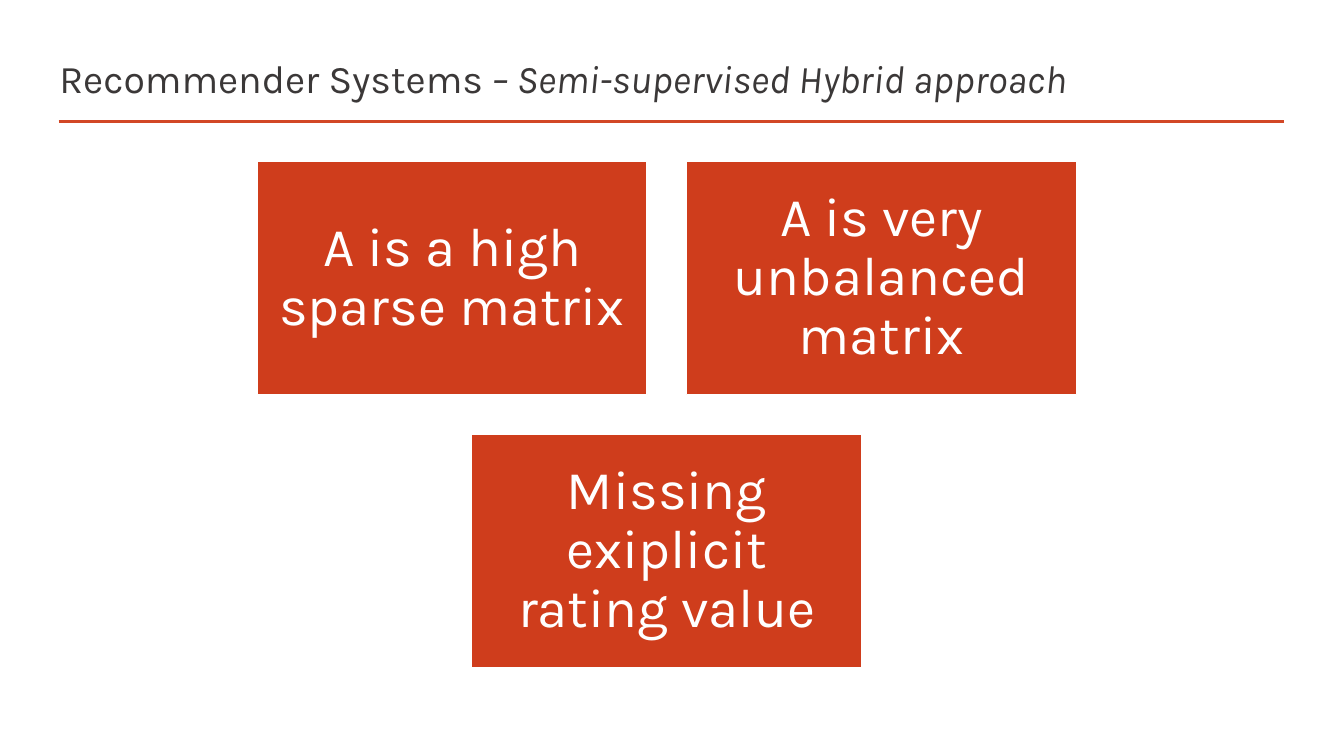
from lxml import etree
from pptx import Presentation
from pptx.dml.color import RGBColor
from pptx.enum import shapes, text
from pptx.oxml import ns
from pptx.util import Cm, Pt

FONT = "Karla"
WHITE = RGBColor(0xFF, 0xFF, 0xFF)
CHARCOAL = RGBColor(0x3B, 0x38, 0x38)
RULE_RED = RGBColor(0xD2, 0x47, 0x26)
CARD_RED = RGBColor(0xCF, 0x3D, 0x1C)

SLIDE_W = 33.87
CARD_W, CARD_H, GAP = 9.83, 5.89, 0.99
CARDS_TOP = 4.06
CARD_ROWS = [
    ["A is a high sparse matrix", "A is very unbalanced matrix"],
    ["Missing exiplicit rating value"],
]


def add_run(p, words, size, color, italic=False):
    r = p.add_run()
    r.text = words
    r.font.name = FONT
    r.font.size = Pt(size)
    r.font.color.rgb = color
    r.font.italic = italic


class Deck:
    def __init__(self):
        self.prs = Presentation()
        self.prs.slide_width, self.prs.slide_height = Cm(SLIDE_W), Cm(19.05)
        self.s = self.prs.slides.add_slide(self.prs.slide_layouts[5])

    def title(self, plain, emphasis):
        sp = self.s.shapes.title
        sp.left, sp.top, sp.width, sp.height = Cm(1.24), Cm(1.19), Cm(31.14), Cm(1.55)
        tf = sp.text_frame
        tf.auto_size = text.MSO_AUTO_SIZE.NONE
        tf.vertical_anchor = text.MSO_ANCHOR.MIDDLE
        p = tf.paragraphs[0]
        p.alignment = text.PP_ALIGN.LEFT
        add_run(p, plain, 28, CHARCOAL)
        add_run(p, emphasis, 28, CHARCOAL, italic=True)

    def rule(self, left, right, y):
        line = self.s.shapes.add_connector(
            shapes.MSO_CONNECTOR.STRAIGHT, Cm(left), Cm(y), Cm(right), Cm(y))
        line.line.color.rgb = RULE_RED
        line.line.width = Pt(2)
        etree.SubElement(line._element.spPr, ns.qn("a:effectLst"))

    def card(self, left, top, words):
        sp = self.s.shapes.add_shape(
            shapes.MSO_SHAPE.RECTANGLE, Cm(left), Cm(top), Cm(CARD_W), Cm(CARD_H))
        sp.shadow.inherit = False
        sp.fill.solid()
        sp.fill.fore_color.rgb = CARD_RED
        sp.line.color.rgb = WHITE
        sp.line.width = Pt(1)
        tf = sp.text_frame
        tf.word_wrap = True
        tf.vertical_anchor = text.MSO_ANCHOR.MIDDLE
        tf.margin_left = tf.margin_right = tf.margin_top = tf.margin_bottom = Cm(0.41)
        p = tf.paragraphs[0]
        p.alignment = text.PP_ALIGN.CENTER
        p.line_spacing = 0.9
        add_run(p, words, 39, WHITE)

    def card_rows(self, rows):
        """Stack the rows of cards, each row centred on the slide."""
        for i, row in enumerate(rows):
            row_w = len(row) * (CARD_W + GAP) - GAP
            left = (SLIDE_W - row_w) / 2 - 0.13
            for j, words in enumerate(row):
                self.card(left + j * (CARD_W + GAP), CARDS_TOP + i * (CARD_H + GAP), words)


def main():
    deck = Deck()
    deck.rule(1.48, 32.36, 3.07)
    deck.title("Recommender Systems", " – Semi-supervised Hybrid approach")
    deck.card_rows(CARD_ROWS)
    deck.prs.save("out.pptx")


if __name__ == "__main__":
    main()
